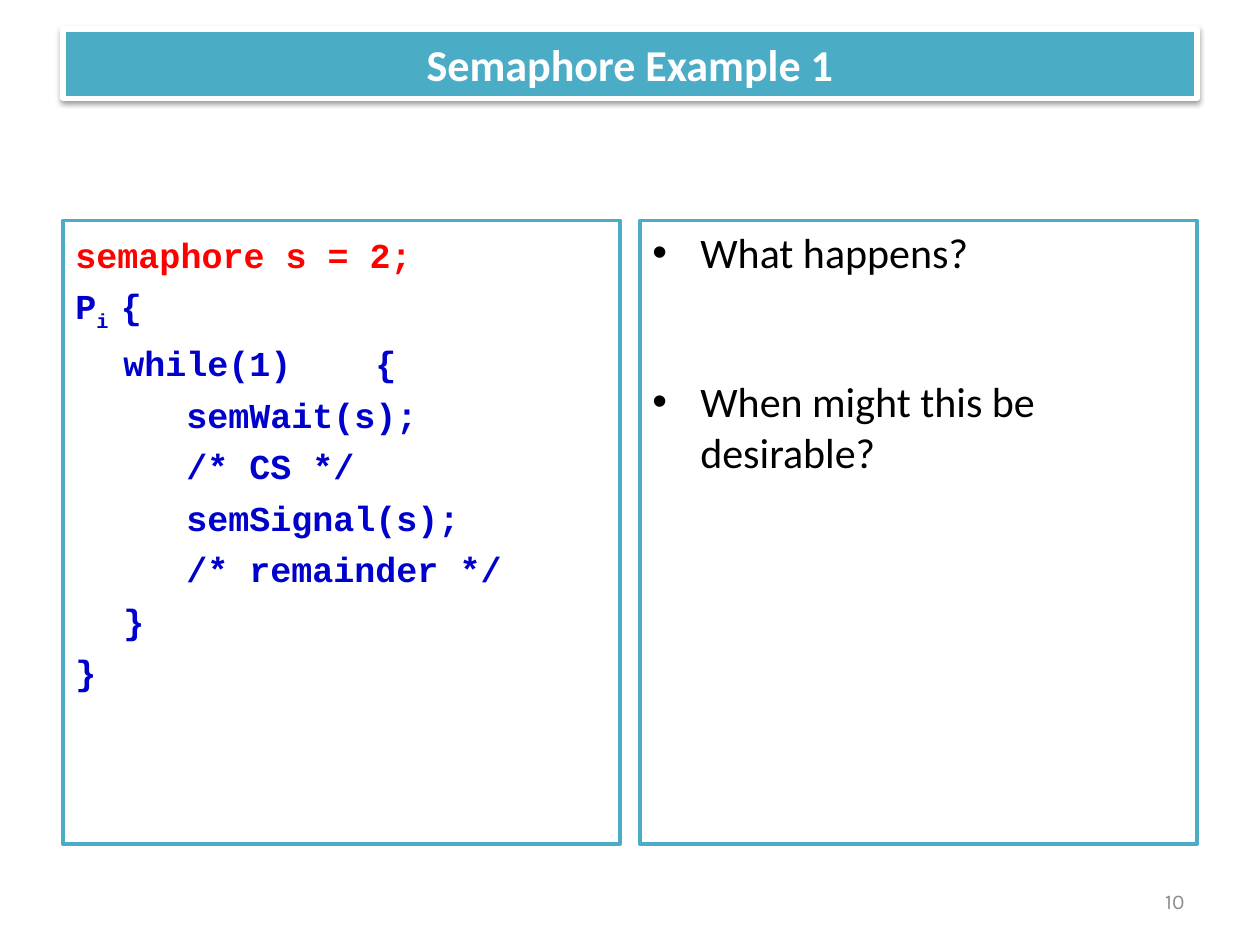
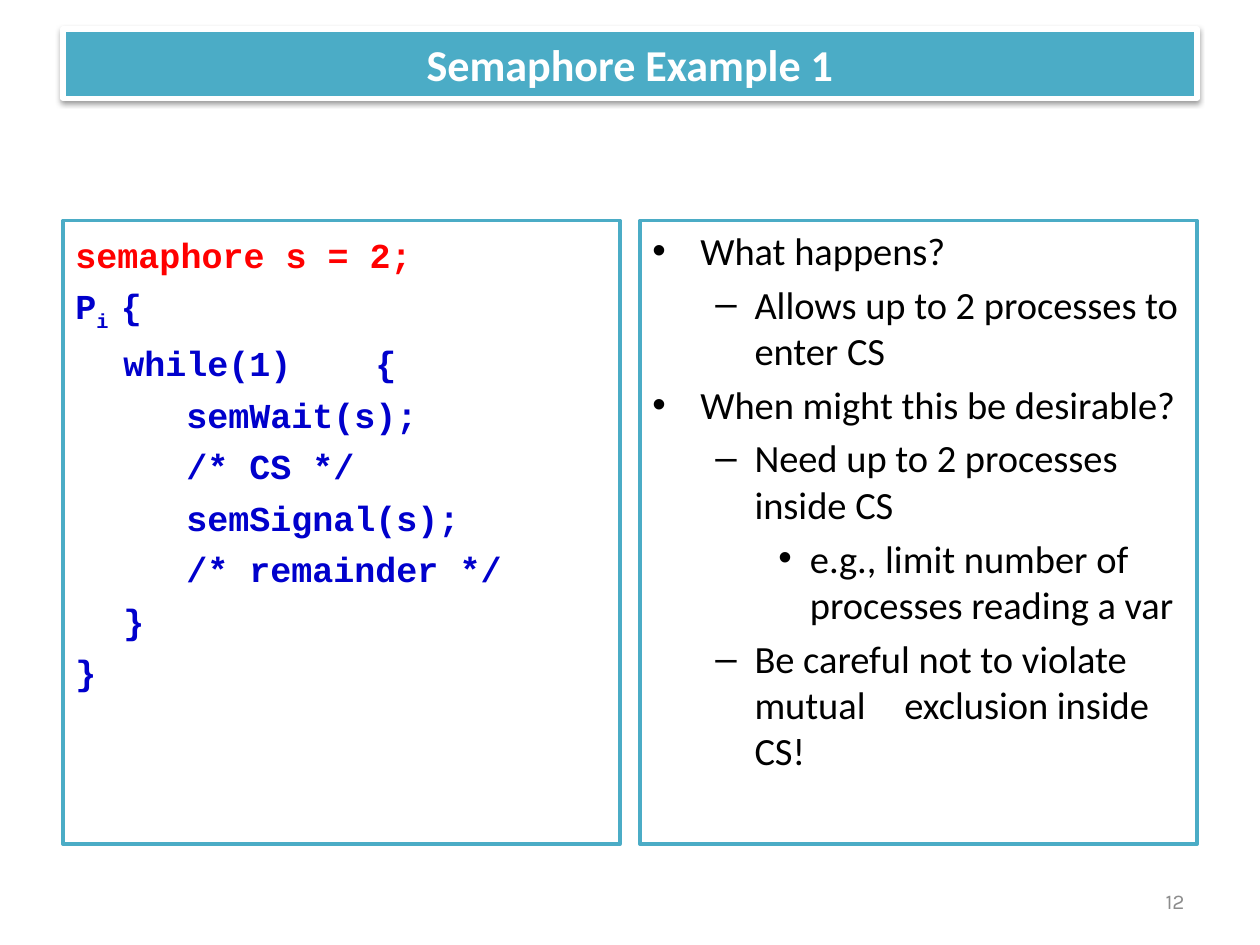
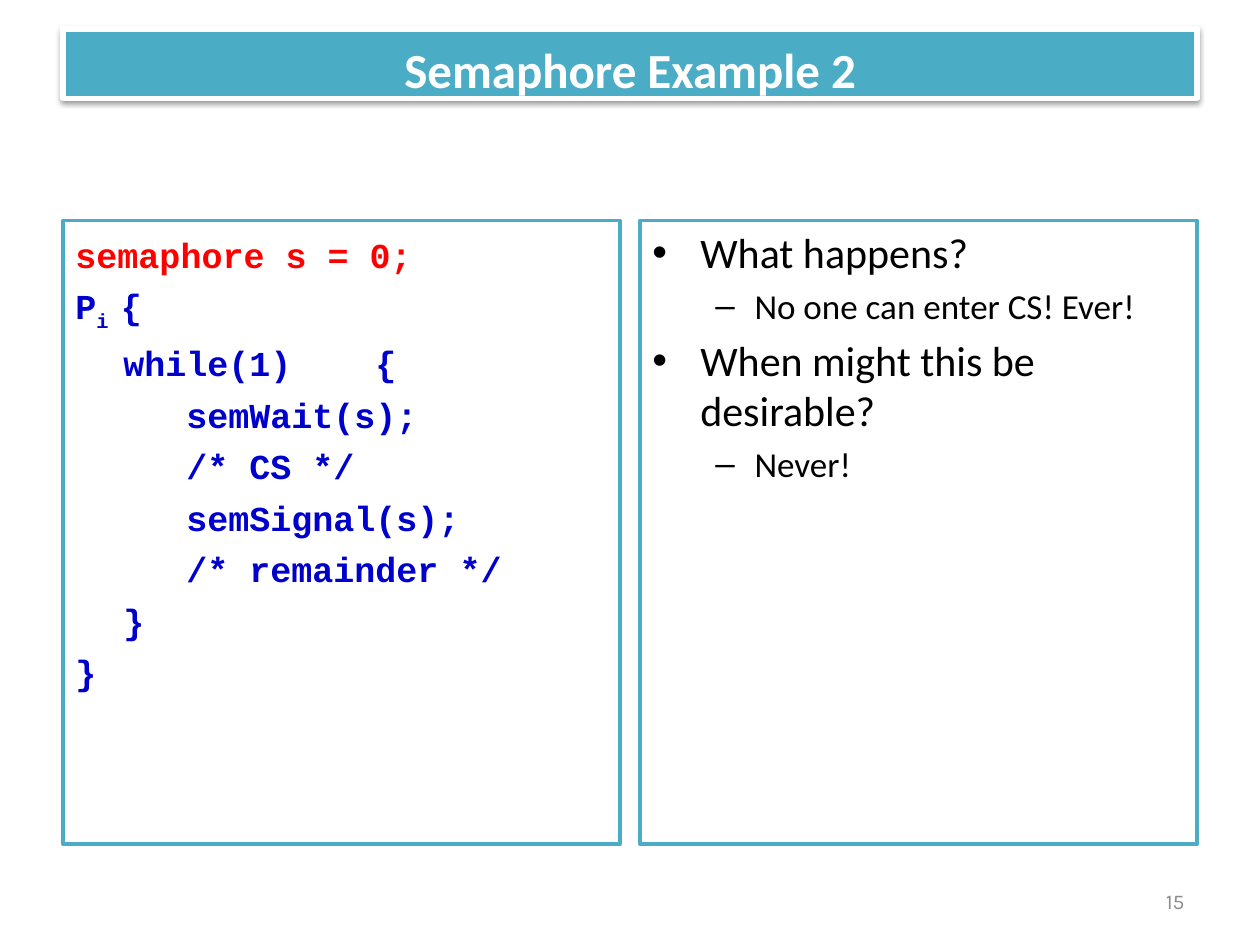
from lxml import etree
from pptx import Presentation
from pptx.dml.color import RGBColor
from pptx.enum.shapes import MSO_SHAPE
from pptx.enum.text import MSO_ANCHOR, MSO_AUTO_SIZE, PP_ALIGN
from pptx.oxml.ns import qn
from pptx.util import Inches, Pt

RECTANGLE = MSO_SHAPE.RECTANGLE
TOP, MIDDLE, BOTTOM = MSO_ANCHOR.TOP, MSO_ANCHOR.MIDDLE, MSO_ANCHOR.BOTTOM
LEFT, CENTER, RIGHT = PP_ALIGN.LEFT, PP_ALIGN.CENTER, PP_ALIGN.RIGHT
NO_AUTOFIT = MSO_AUTO_SIZE.NONE

COLORS = {"accent": "4BACC6", "white": "FFFFFF", "black": "000000",
          "red": "FF0000", "blue": "0000CC", "gray": "8C8C8C"}
BODY_FONT, CODE_FONT, NUMBER_FONT = "Calibri", "Courier New", "Karla"
TITLE_ONLY = 5
MARGIN, PANEL_TOP, PANEL_WIDTH, PANEL_HEIGHT = 0.5, 1.75, 4.42, 4.95
ANSWER_LEFT = 10 - MARGIN - PANEL_WIDTH
LEVELS = [("•", 0.38, 0.38), ("–", 0.81, 0.31), ("•", 1.25, 0.25)]
PROCESS_LINES = [
    ["P", "i ", "{"],
    ["\twhile(1) \t{"],
    ["\t\tsemWait(s);"],
    ["\t\t/* CS */"],
    ["\t\tsemSignal(s);"],
    ["\t\t/* remainder */"],
    ["\t}"],
    ["}"],
]
CODE_GAP = 5.4


class SlideBuilder:
    def __init__(self, deck):
        self.deck = deck
        self.page = None

    def color(self, name):
        return RGBColor.from_string(COLORS[name])

    def add_page(self):
        self.page = self.deck.slides.add_slide(self.deck.slide_layouts[TITLE_ONLY])

    def style_box(self, box, fill, line, width):
        box.fill.solid()
        box.fill.fore_color.rgb = self.color(fill)
        box.line.color.rgb = self.color(line)
        box.line.width = Pt(width)

    def style_font(self, para, name, size, color, bold=False):
        para.font.name = name
        para.font.size = Pt(size)
        para.font.color.rgb = self.color(color)
        para.font.bold = bold

    def indent(self, para, margin, hanging, bullet=None):
        properties = para._p.get_or_add_pPr()
        properties.set("marL", str(Inches(margin)))
        properties.set("indent", str(-Inches(hanging)))
        if bullet:
            etree.SubElement(properties, qn("a:buFont")).set("typeface", "Arial")
            etree.SubElement(properties, qn("a:buChar")).set("char", bullet)

    def next_para(self, frame, index):
        para = frame.add_paragraph() if index else frame.paragraphs[0]
        para.alignment = LEFT
        return para

    def title(self, text, size, anchor):
        box = self.page.shapes.title
        box.left, box.top = Inches(MARGIN), Inches(0.23)
        box.width, box.height = Inches(9), Inches(0.55)
        self.style_box(box, "accent", "white", 3)
        effects = etree.SubElement(box._element.spPr, qn("a:effectLst"))
        shadow = etree.SubElement(effects, qn("a:outerShdw"), blurRad=str(Pt(3.1)),
                                  dist=str(Pt(1.6)), dir="5400000", rotWithShape="0")
        tint = etree.SubElement(shadow, qn("a:srgbClr"), val=COLORS["black"])
        etree.SubElement(tint, qn("a:alpha"), val="38000")
        frame = box.text_frame
        frame.auto_size = NO_AUTOFIT
        frame.vertical_anchor = anchor
        if anchor == BOTTOM:
            frame.margin_left = frame.margin_right = frame.margin_bottom = 0
        frame.text = text
        para = frame.paragraphs[0]
        para.alignment = CENTER
        self.style_font(para, BODY_FONT, size, "white", True)

    def panel(self, left, inset):
        box = self.page.shapes.add_shape(RECTANGLE, Inches(left), Inches(PANEL_TOP),
                                         Inches(PANEL_WIDTH), Inches(PANEL_HEIGHT))
        box.shadow.inherit = False
        self.style_box(box, "white", "accent", 2)
        frame = box.text_frame
        frame.word_wrap = True
        frame.vertical_anchor = TOP
        frame.margin_top = Inches(inset)
        return frame

    def code(self, start_value):
        frame = self.panel(MARGIN, 0.1)
        lines = [[f"semaphore s = {start_value};"]] + PROCESS_LINES
        for index, parts in enumerate(lines):
            para = self.next_para(frame, index)
            self.indent(para, 0.38, 0.38)
            if index:
                para.space_before = Pt(CODE_GAP)
            self.style_font(para, CODE_FONT, 20, "blue" if index else "red", True)
            for position, part in enumerate(parts):
                span = para.add_run()
                span.text = part
                if position == 1:
                    span.font._element.set("baseline", "-25000")

    def answers(self, items, sizes, gap=None):
        frame = self.panel(ANSWER_LEFT, 0.05)
        for index, (level, text) in enumerate(items):
            bullet, margin, hanging = LEVELS[level]
            size = sizes[level]
            para = self.next_para(frame, index)
            para.level = level
            if index:
                para.space_before = Pt(gap or size * 0.2)
            self.indent(para, margin, hanging, bullet)
            self.style_font(para, BODY_FONT, size, "black")
            para.add_run().text = text

    def page_number(self, number):
        box = self.page.shapes.add_textbox(Inches(7.17), Inches(6.95),
                                           Inches(2.33), Inches(0.4))
        frame = box.text_frame
        frame.word_wrap = True
        frame.vertical_anchor = MIDDLE
        frame.text = str(number)
        para = frame.paragraphs[0]
        para.alignment = RIGHT
        self.style_font(para, NUMBER_FONT, 12, "gray")


def main():
    deck = Presentation()
    deck.slide_width, deck.slide_height = Inches(10), Inches(7.5)
    builder = SlideBuilder(deck)
    happens, desirable = "What happens?", "When might this be desirable?"

    builder.add_page()
    builder.title("Semaphore Example 1", 25.2, MIDDLE)
    builder.code(2)
    builder.answers([(0, happens), (0, desirable)], [24], gap=56.4)
    builder.page_number(10)

    builder.add_page()
    builder.title("Semaphore Example 1", 25.2, MIDDLE)
    builder.code(2)
    builder.answers([
        (0, happens),
        (1, "Allows up to 2 processes to enter CS"),
        (0, desirable),
        (1, "Need up to 2 processes inside CS"),
        (2, "e.g., limit number of processes reading a var"),
        (1, "Be careful not to violate mutual \texclusion inside CS!"),
    ], [22, 22, 22])
    builder.page_number(12)

    builder.add_page()
    builder.title("Semaphore Example 2", 28, BOTTOM)
    builder.code(0)
    builder.answers([
        (0, happens),
        (1, "No one can enter CS! Ever!"),
        (0, desirable),
        (1, "Never!"),
    ], [24, 20])
    builder.page_number(15)

    deck.save("out.pptx")


if __name__ == "__main__":
    main()
